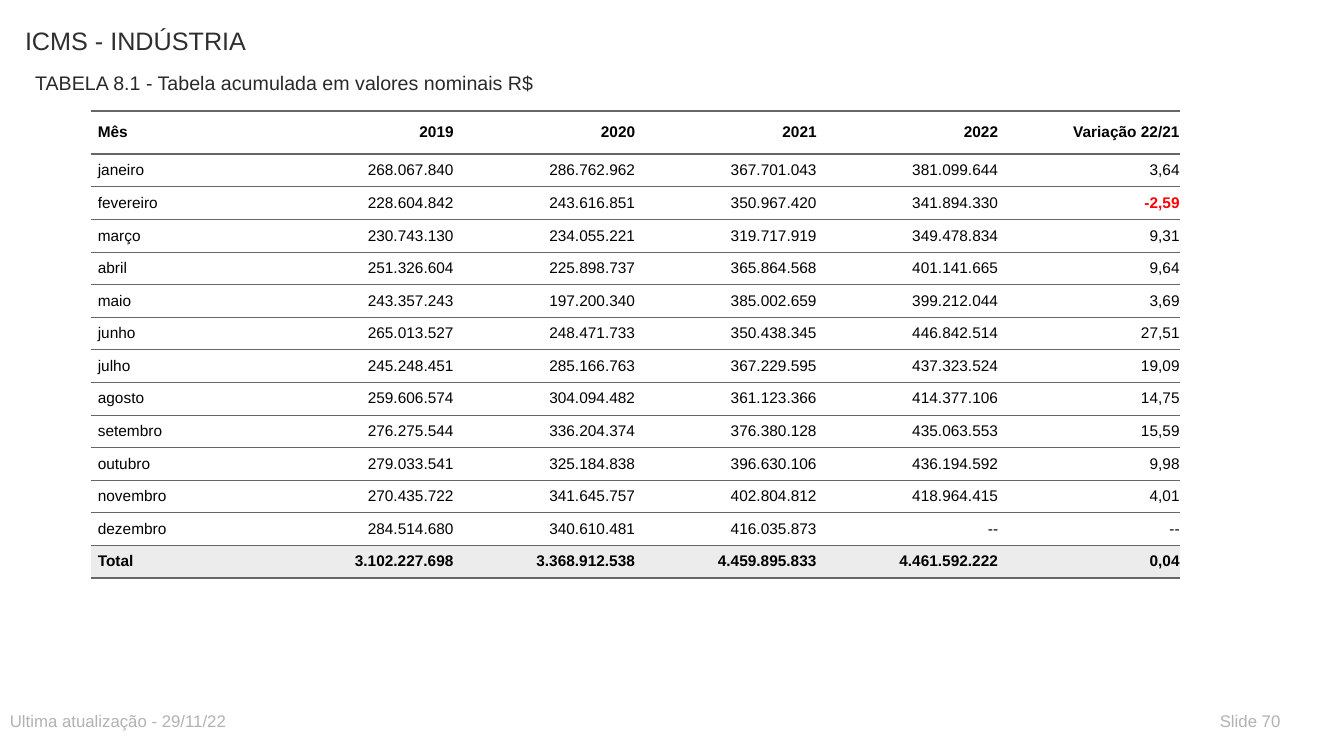
from dataclasses import dataclass

from lxml.etree import SubElement
from pptx import Presentation
from pptx.dml.color import RGBColor as Color
from pptx.enum.text import MSO_ANCHOR as Anchor, PP_ALIGN as Align
from pptx.oxml.ns import qn
from pptx.util import Inches, Pt


@dataclass(frozen=True)
class Theme:
    """Font, colours and type sizes of the slide."""
    font: str = "Arial"
    title: str = "2D2E2D"
    subtitle: str = "292929"
    footer: str = "B2B2B2"
    body: str = "000000"
    negative: str = "FF0000"
    rule: str = "666666"
    paper: str = "FFFFFF"
    total: str = "ECECEC"
    title_size: int = 18
    subtitle_size: int = 14
    footer_size: int = 12
    table_size: int = 11
    thin: float = 0.5
    thick: float = 2


THEME = Theme()
NO_STYLE = "{2D5ABB26-0587-4C30-8999-92F81FD0307C}"
COLUMN_WIDTH, HEADER_HEIGHT, ROW_HEIGHT, PADDING = 1.8, 0.43, 0.25, 0.07

HEADER = ["Mês", "2019", "2020", "2021", "2022", "Variação 22/21"]
MONTHS = [
    ["janeiro", "268.067.840", "286.762.962", "367.701.043", "381.099.644", "3,64"],
    ["fevereiro", "228.604.842", "243.616.851", "350.967.420", "341.894.330", "-2,59"],
    ["março", "230.743.130", "234.055.221", "319.717.919", "349.478.834", "9,31"],
    ["abril", "251.326.604", "225.898.737", "365.864.568", "401.141.665", "9,64"],
    ["maio", "243.357.243", "197.200.340", "385.002.659", "399.212.044", "3,69"],
    ["junho", "265.013.527", "248.471.733", "350.438.345", "446.842.514", "27,51"],
    ["julho", "245.248.451", "285.166.763", "367.229.595", "437.323.524", "19,09"],
    ["agosto", "259.606.574", "304.094.482", "361.123.366", "414.377.106", "14,75"],
    ["setembro", "276.275.544", "336.204.374", "376.380.128", "435.063.553", "15,59"],
    ["outubro", "279.033.541", "325.184.838", "396.630.106", "436.194.592", "9,98"],
    ["novembro", "270.435.722", "341.645.757", "402.804.812", "418.964.415", "4,01"],
    ["dezembro", "284.514.680", "340.610.481", "416.035.873", "--", "--"],
]
TOTAL = ["Total", "3.102.227.698", "3.368.912.538", "4.459.895.833", "4.461.592.222", "0,04"]


def add_span(para, text, size, color, bold=False):
    """Add one styled run to a paragraph."""
    span = para.add_run()
    span.text = text
    span.font.name = THEME.font
    span.font.size = Pt(size)
    span.font.bold = bold
    span.font.color.rgb = Color.from_string(color)


def add_label(page, box, text, size, color):
    """Place a line of text in the given box."""
    frame = page.shapes.add_textbox(*map(Inches, box)).text_frame
    frame.word_wrap = True
    add_span(frame.paragraphs[0], text, size, color)


def add_rule(cell, side, width):
    """Draw a horizontal border on one side of a cell."""
    line = SubElement(cell._tc.get_or_add_tcPr(), qn(f"a:{side}"), w=str(Pt(width)))
    fill = SubElement(line, qn("a:solidFill"))
    SubElement(fill, qn("a:srgbClr"), val=THEME.rule)


def fill_cell(cell, text, is_label, is_header, is_total):
    """Set the text, borders and fill of one table cell."""
    cell.margin_left = cell.margin_right = 0
    cell.margin_top = cell.margin_bottom = Inches(PADDING)
    cell.vertical_anchor = Anchor.MIDDLE
    if is_header:
        add_rule(cell, "lnT", THEME.thick)
    emphasis = is_header or is_total
    add_rule(cell, "lnB", THEME.thick if emphasis else THEME.thin)
    cell.fill.solid()
    cell.fill.fore_color.rgb = Color.from_string(THEME.total if is_total else THEME.paper)

    para = cell.text_frame.paragraphs[0]
    para.alignment = Align.LEFT if is_label else Align.RIGHT
    para.space_before = para.space_after = Pt(5)
    para._p.get_or_add_pPr().set("marL", str(Inches(PADDING)))
    negative = text.startswith("-") and text != "--"
    color = THEME.negative if negative else THEME.body
    add_span(para, text, THEME.table_size, color, emphasis or negative)


def add_revenue_table(page, left, top):
    """Place the monthly revenue table with its top left corner as given."""
    rows = [HEADER, *MONTHS, TOTAL]
    width = COLUMN_WIDTH * len(HEADER)
    height = HEADER_HEIGHT + ROW_HEIGHT * (len(rows) - 1)
    frame = page.shapes.add_table(
        len(rows), len(HEADER), *map(Inches, (left, top, width, height)))
    table = frame.table
    table.horz_banding = False
    table._tbl.tblPr.find(qn("a:tableStyleId")).text = NO_STYLE
    for column in table.columns:
        column.width = Inches(COLUMN_WIDTH)
    for index, values in enumerate(rows):
        table.rows[index].height = Inches(ROW_HEIGHT if index else HEADER_HEIGHT)
        for place, text in enumerate(values):
            fill_cell(table.cell(index, place), text, place == 0,
                      index == 0, index == len(rows) - 1)


def add_heading(page, left, top):
    """Place the title and the table caption below it."""
    add_label(page, (left, top, 8, 0.59), "ICMS - INDÚSTRIA",
              THEME.title_size, THEME.title)
    add_label(page, (left + 0.1, top + 0.45, 6.5, 0.3),
              "TABELA 8.1 - Tabela acumulada em valores nominais R$",
              THEME.subtitle_size, THEME.subtitle)


def add_footer(page, left, top):
    """Place the update date and the slide number."""
    for offset, width, text in ((0, 6.5, "Ultima atualização - 29/11/22"),
                                (12, 0.9, "Slide 70")):
        add_label(page, (left + offset, top, width, 0.3), text,
                  THEME.footer_size, THEME.footer)


def main():
    """Build and save the deck."""
    deck = Presentation()
    deck.slide_width, deck.slide_height = Inches(13.33), Inches(7.5)
    page = deck.slides.add_slide(deck.slide_layouts[6])
    add_heading(page, 0.15, 0.2)
    add_revenue_table(page, 0.9, 1.1)
    add_footer(page, 0, 7)
    deck.save("out.pptx")


if __name__ == "__main__":
    main()
